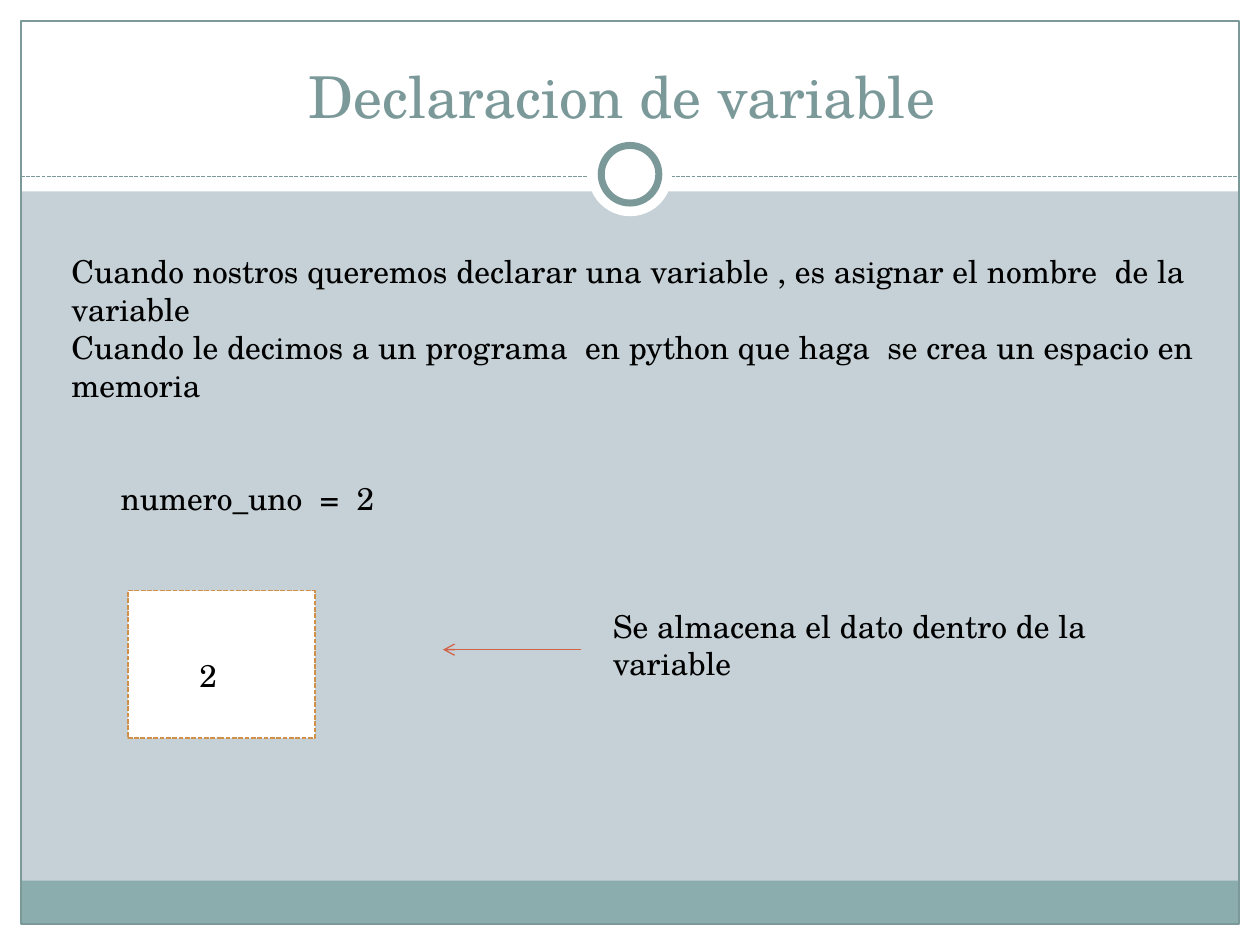
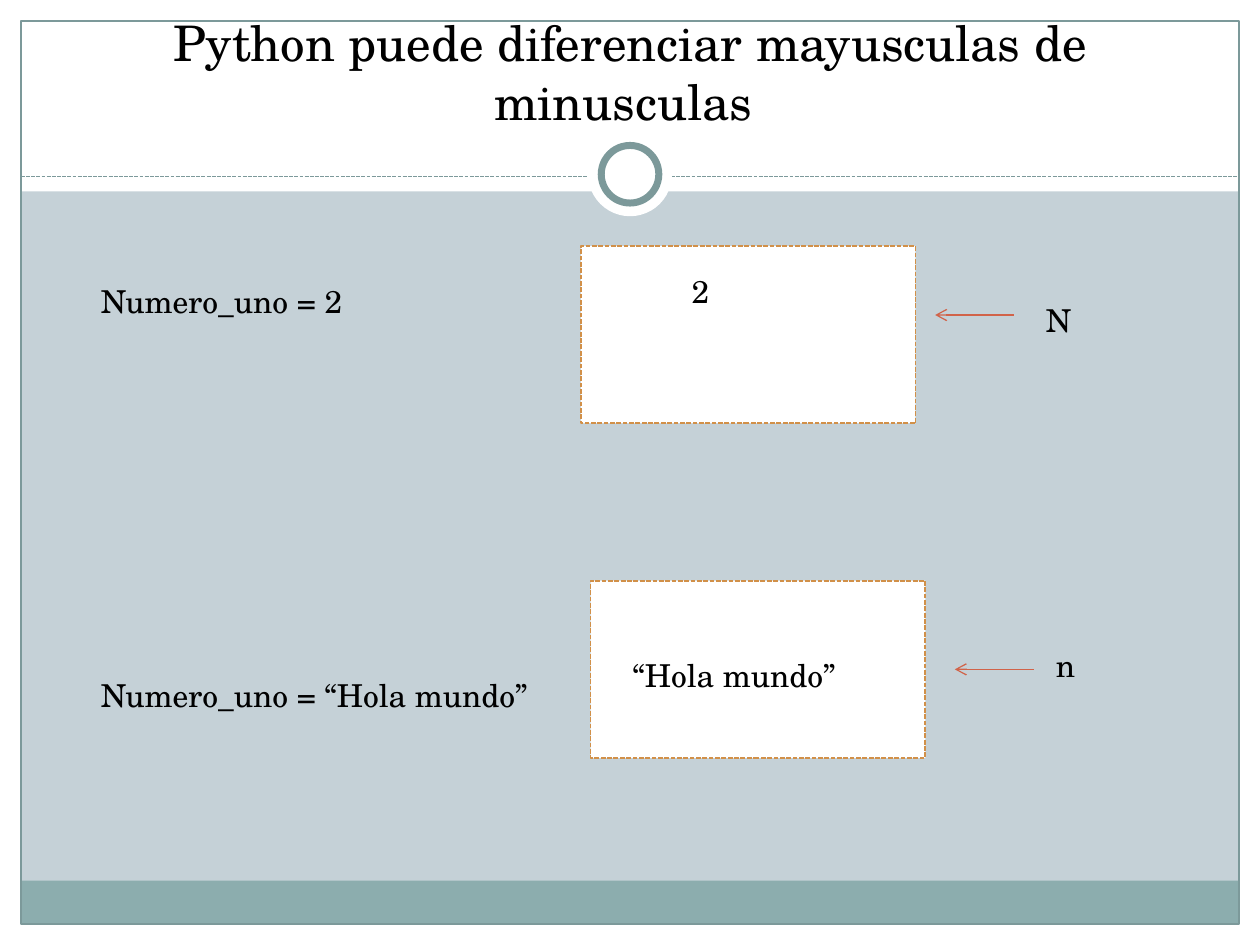
import pptx
import pptx.util
import pptx.dml.color
import pptx.enum.dml
import pptx.enum.shapes
import pptx.enum.text
import pptx.oxml.ns
import lxml.etree

COLS, ROWS = 128, 96
CELL = pptx.util.Inches(10) / COLS
FULL = (0, 0, COLS, ROWS)
EDGE = 2.13
LINE = 5.12
FACE = "TeX Gyre Schola"
WHITE, BLACK, SKY, TEAL = "FFFFFF", "000000", "C5D1D7", "8CADAE"
SLATE, AMBER, RUST = "7C999A", "D19049", "D16349"

KIND = pptx.enum.shapes.MSO_SHAPE
SIZE = pptx.enum.text.MSO_AUTO_SIZE
DASH = pptx.enum.dml.MSO_LINE.SQUARE_DOT
ANCHOR = pptx.enum.text.MSO_ANCHOR
ALIGN = pptx.enum.text.PP_ALIGN


def cells(*counts):
    return [round(count * CELL) for count in counts]


def apply(target, values):
    for name, value in values.items():
        setattr(target, name, value)


def paint(form, color):
    form.solid()
    form.fore_color.rgb = pptx.dml.color.RGBColor.from_string(color)


def stroke(line, color, width, dash=None):
    paint(line.fill, color)
    apply(line, {"width": pptx.util.Pt(width), "dash_style": dash})


def block(page, box, fill=None, line=None, kind=KIND.RECTANGLE):
    part = page.shapes.add_shape(kind, *cells(*box))
    part.shadow.inherit = False
    if fill:
        paint(part.fill, fill)
    else:
        part.fill.background()
    if line:
        stroke(part.line, *line)
    else:
        part.line.fill.background()
    return part


def rule(page, start, end, *line):
    part = page.shapes.add_connector(
        pptx.enum.shapes.MSO_CONNECTOR.STRAIGHT, *cells(*start, *end))
    stroke(part.line, *line)
    lxml.etree.SubElement(part._element.spPr, pptx.oxml.ns.qn("a:effectLst"))
    return part


def arrow(page, start, reach):
    left, top = start
    part = rule(page, start, (left - reach, top), RUST, 0.75)
    tip = lxml.etree.SubElement(part.line._get_or_add_ln(), pptx.oxml.ns.qn("a:tailEnd"))
    tip.set("type", "arrow")


def write(frame, lines, size, color, align=ALIGN.LEFT):
    frame.text = "\n".join(lines)
    for para in frame.paragraphs:
        para.alignment = align
        apply(para.font, {"name": FACE, "size": pptx.util.Pt(size)})
        paint(para.font.fill, color)


def note(page, box, *lines, wrap=True):
    frame = page.shapes.add_textbox(*cells(*box)).text_frame
    write(frame, lines, 18, BLACK)
    apply(frame, {"word_wrap": wrap, "auto_size": SIZE.SHAPE_TO_FIT_TEXT})


def panel(page, box):
    block(page, box, WHITE, (AMBER, 0.9, DASH))


def frame(page, box):
    left, top, wide, high = box
    right, low = left + wide - EDGE, top + high - EDGE
    inner = wide - 2 * EDGE
    mid, level = left + wide / 2, top + 17.7
    for band in ((left, low, wide, EDGE), (left, top, wide, 19.45),
                 (left, top, EDGE, high), (right, top, EDGE, high)):
        block(page, band, WHITE)
    block(page, (left + EDGE, low - 4.4, inner, 4.4), TEAL)
    block(page, (left + EDGE, top + EDGE, inner, high - 2 * EDGE), line=(SLATE, 0.75))
    rule(page, (left + EDGE, top + 17.92), (right, top + 17.92), SLATE, 0.75, DASH)
    for width, line in ((8.53, None), (5.85, (SLATE, 4))):
        half = width / 2
        block(page, (mid - half, level - half, width, width), WHITE, line, KIND.OVAL)


def template(deck):
    base = deck.slide_layouts.get_by_name("Title Only")
    paint(base.background.fill, SKY)
    title = pptx.enum.shapes.PP_PLACEHOLDER.TITLE
    for part in list(base.placeholders):
        if part.placeholder_format.type != title:
            part._element.getparent().remove(part._element)
    return base


def share(page, base):
    frame(page, FULL)
    for part in list(page.shapes):
        if not part.is_placeholder:
            base.shapes._spTree.append(part._element)


def head(page, text, size, color):
    title = page.shapes.title
    names = ("left", "top", "width", "height")
    apply(title, dict(zip(names, cells(4.27, 3.2, 119.47, 10.67))))
    write(title.text_frame, [text], size, color, ALIGN.CENTER)
    apply(title.text_frame, {"vertical_anchor": ANCHOR.BOTTOM,
                             "auto_size": SIZE.NONE, "word_wrap": True})


def declare(page, box):
    left, top, wide, high = box
    note(page, (left + 6, top + 25, wide - 11, 16.8),
         "Cuando nostros queremos declarar una variable , es asignar el nombre  de la variable",
         "Cuando le decimos a un programa  en python que haga  se crea un espacio en memoria")
    panel(page, (left + 13, top + 60, 19, 15))
    note(page, (left + 11, top + 48, 28.4, LINE), "numero_uno  =  2", wrap=False)
    note(page, (left + 61, top + 61, 51, 9.1), "Se almacena el dato dentro de la variable")
    arrow(page, (left + 59, top + 66), 14)
    note(page, (left + 19, top + 66, 21, LINE), "2")


def sample(page, box, code, value, key, tip):
    left, top, wide, high = box
    panel(page, box)
    for text, (across, down, width) in (code, value, key):
        note(page, (left + across, top + down, width, LINE), text)
    arrow(page, (left + wide + tip[0], top + tip[1]), 8)


def main():
    deck = pptx.Presentation()
    apply(deck, {"slide_width": round(COLS * CELL), "slide_height": round(ROWS * CELL)})
    base = template(deck)
    first, second = [deck.slides.add_slide(base) for turn in range(2)]
    share(first, base)

    head(first, "Declaracion de variable ", 33, SLATE)
    declare(first, FULL)

    head(second, "Python puede diferenciar mayusculas de minusculas ", 28, BLACK)
    sample(second, (59, 25, 34, 18), ("Numero_uno = 2", (-50, 3, 48)),
           ("2", (10, 2, 20)), ("N", (46, 5, 13)), (10, 7))
    sample(second, (60, 59, 34, 18), ("Numero_uno = “Hola mundo”", (-51, 9, 60)),
           ("“Hola mundo”", (3, 7, 24)), ("n", (46, 6, 14)), (11, 9))
    deck.save("out.pptx")


if __name__ == "__main__":
    main()
